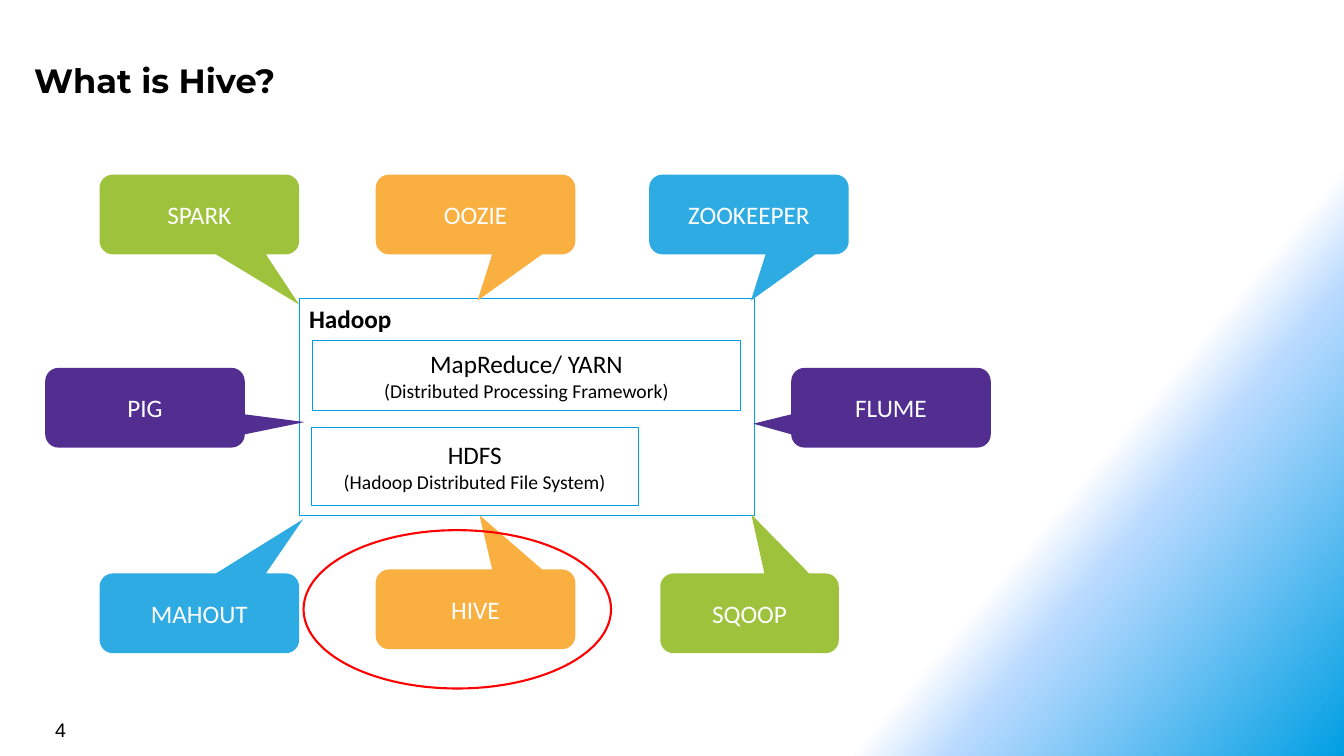
from copy import deepcopy
from dataclasses import dataclass

from lxml import etree
from pptx import Presentation
from pptx import util as u
from pptx.dml import color
from pptx.enum import shapes, text
from pptx.oxml import ns

BLACK, WHITE, RED, CYAN = "000000", "FFFFFF", "FF0000", "009FE3"
ORANGE, GREEN, SKY, PURPLE = "FAB041", "9EC23C", "2EABE2", "522E91"
LEFT, CENTER = text.PP_ALIGN.LEFT, text.PP_ALIGN.CENTER
TOP, MIDDLE = text.MSO_ANCHOR.TOP, text.MSO_ANCHOR.MIDDLE


@dataclass(frozen=True)
class Line:
    words: str
    size: float = 18
    font: str = "Calibri"
    color: str = BLACK
    bold: bool = False


@dataclass(frozen=True)
class Box:
    left: float
    top: float
    width: float
    height: float
    lines: tuple[Line, ...] = ()
    align: text.PP_ALIGN = CENTER
    anchor: text.MSO_ANCHOR = MIDDLE


@dataclass(frozen=True)
class Tool:
    name: str
    fill: str
    left: float
    top: float
    tip: tuple[float, float]
    width: float = 5.03


TITLE = Box(0.66, 1.3, 31.14, 1.4,
            (Line("What is Hive?", 24, "Montserrat", bold=True),), LEFT, TOP)
PAGE_NUMBER = Box(1.14, 17.96, 7.9, 0.84, (Line("4", 14, "Arial"),), LEFT, TOP)
HADOOP_STACK = (
    Box(7.54, 7.52, 11.46, 5.46, (Line("Hadoop", bold=True),), LEFT, TOP),
    Box(7.85, 10.77, 8.23, 1.96,
        (Line("HDFS"), Line("(Hadoop Distributed File System)", 14))),
    Box(7.87, 8.59, 10.8, 1.75,
        (Line("MapReduce/ YARN"), Line("(Distributed Processing Framework)", 14))),
)
HIGHLIGHT = Box(7.65, 13.36, 7.75, 3.99)

TOOL_HEIGHT = 2.01
LEFT_COLUMN, MIDDLE_COLUMN = 2.51, 9.47
TOP_ROW, SIDE_ROW, BOTTOM_ROW = 4.4, 9.27, 14.45
TOOLS = (
    Tool("OOZIE", ORANGE, MIDDLE_COLUMN, TOP_ROW, (0.01, 1.08)),
    Tool("SPARK", GREEN, LEFT_COLUMN, TOP_ROW, (0.5, 1.13)),
    Tool("ZOOKEEPER", SKY, 16.36, TOP_ROW, (0.01, 1.08)),
    Tool("FLUME", PURPLE, 19.94, SIDE_ROW, (-0.69, 0.2)),
    Tool("HIVE", ORANGE, MIDDLE_COLUMN, 14.35, (0.02, -1.18)),
    Tool("SQOOP", GREEN, 16.64, BOTTOM_ROW, (0.01, -1.24), 4.5),
    Tool("MAHOUT", SKY, LEFT_COLUMN, BOTTOM_ROW, (0.52, -1.18)),
    Tool("PIG", PURPLE, 1.14, SIDE_ROW, (0.8, 0.18)),
)


def rgb(value: str) -> color.RGBColor:
    return color.RGBColor.from_string(value)


def apply(target, values: dict) -> None:
    for name, value in values.items():
        setattr(target, name, value)


def bounds(box: Box) -> tuple:
    return tuple(u.Cm(n) for n in (box.left, box.top, box.width, box.height))


def write(shape, box: Box) -> None:
    frame = shape.text_frame
    apply(frame, {"word_wrap": True, "vertical_anchor": box.anchor,
                  "auto_size": text.MSO_AUTO_SIZE.NONE})
    for index, line in enumerate(box.lines):
        paragraph = frame.add_paragraph() if index else frame.paragraphs[0]
        paragraph.alignment = box.align
        run = paragraph.add_run()
        run.text = line.words
        apply(run.font, {"size": u.Pt(line.size), "name": line.font, "bold": line.bold})
        run.font.color.rgb = rgb(line.color)


def draw_outline(container, kind: shapes.MSO_SHAPE, box: Box, line: str, width: float) -> None:
    shape = container.add_shape(kind, *bounds(box))
    shape.shadow.inherit = False
    shape.fill.background()
    shape.line.color.rgb = rgb(line)
    shape.line.width = u.Pt(width)
    write(shape, box)


def draw_tool(container, tool: Tool) -> None:
    box = Box(tool.left, tool.top, tool.width, TOOL_HEIGHT,
              (Line(tool.name, color=WHITE),))
    shape = container.add_shape(shapes.MSO_SHAPE.ROUNDED_RECTANGULAR_CALLOUT, *bounds(box))
    shape.shadow.inherit = False
    shape.fill.solid()
    shape.fill.fore_color.rgb = rgb(tool.fill)
    shape.line.fill.background()
    for index, value in enumerate(tool.tip):
        shape.adjustments[index] = value
    write(shape, box)


def paint_background(slide) -> None:
    fill = slide.background.fill
    fill.gradient()
    fill.gradient_angle = 320
    stop_list = slide.element.find(".//" + ns.qn("a:gsLst"))
    stop_list.append(deepcopy(stop_list[-1]))
    for stop, (position, value) in zip(
            fill.gradient_stops, ((0.75, WHITE), (0.8, "B9DAFF"), (1, CYAN))):
        stop.position = position
        stop.color.rgb = rgb(value)
    etree.SubElement(stop_list[1][0], ns.qn("a:alpha"), val="50000")


def place_title(slide) -> None:
    title = slide.shapes.title
    apply(title, dict(zip(("left", "top", "width", "height"), bounds(TITLE))))
    margins = ("margin_left", "margin_top", "margin_right", "margin_bottom")
    apply(title.text_frame, dict.fromkeys(margins, u.Cm(0.2)))
    write(title, TITLE)


def main() -> None:
    presentation = Presentation()
    apply(presentation, {"slide_width": u.Cm(33.87), "slide_height": u.Cm(19.05)})
    slide = presentation.slides.add_slide(presentation.slide_layouts[5])
    paint_background(slide)
    place_title(slide)
    write(slide.shapes.add_textbox(*bounds(PAGE_NUMBER)), PAGE_NUMBER)
    hadoop = slide.shapes.add_group_shape()
    for box in HADOOP_STACK:
        draw_outline(hadoop.shapes, shapes.MSO_SHAPE.RECTANGLE, box, CYAN, 0.5)
    for tool in TOOLS:
        draw_tool(slide.shapes, tool)
    draw_outline(slide.shapes, shapes.MSO_SHAPE.OVAL, HIGHLIGHT, RED, 1.5)
    presentation.save("out.pptx")


if __name__ == "__main__":
    main()
